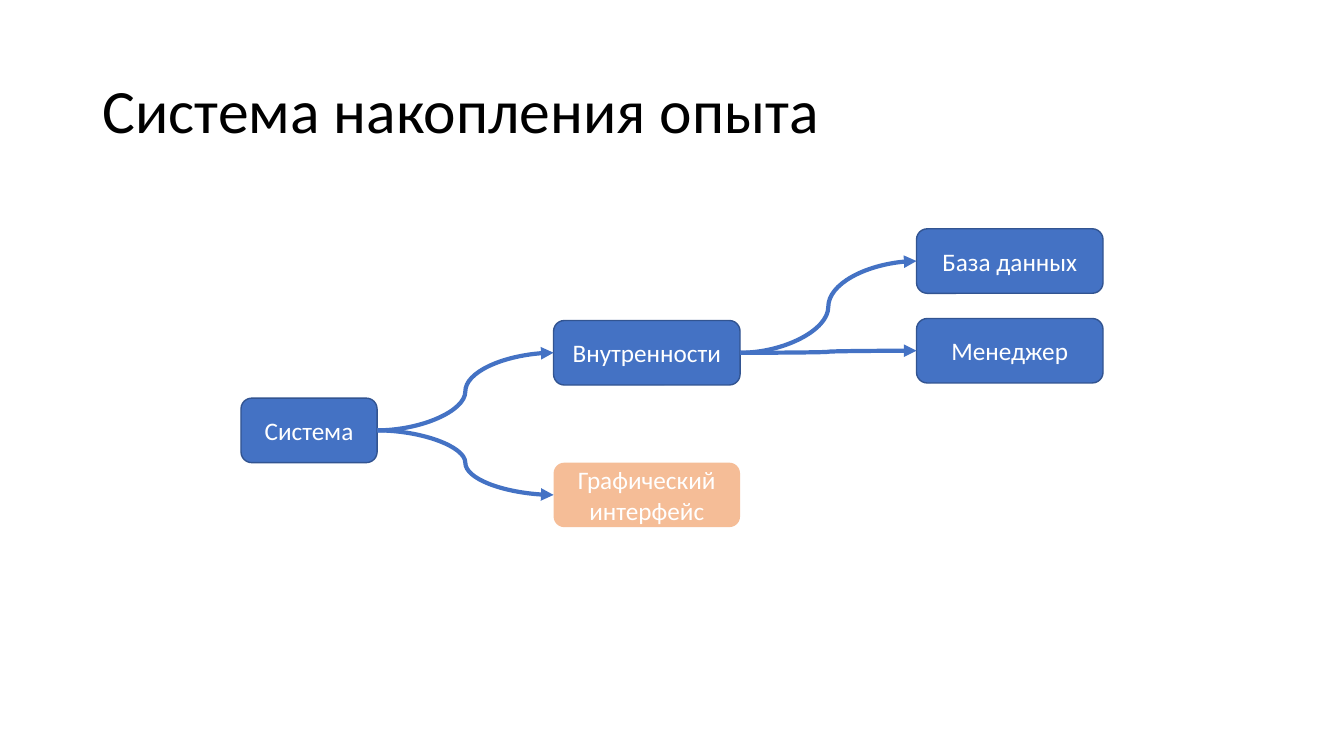
from dataclasses import dataclass

from lxml.etree import SubElement
from pptx import Presentation
from pptx.dml.color import RGBColor
from pptx.enum.shapes import MSO_CONNECTOR as Link, MSO_SHAPE as Kind
from pptx.enum.text import MSO_ANCHOR as Anchor, MSO_AUTO_SIZE as Fit, PP_ALIGN as Align
from pptx.oxml.ns import qn
from pptx.util import Emu, Pt

# 100 px to the inch
SCALE = 9144
BLUE, EDGE, ORANGE = "4472C4", "325491", "ED7D31"
HIGH = 64
LEFT, RIGHT = 1, 3  # connection sites of a rounded box


@dataclass
class Node:
    text: str
    x: int
    y: int
    wide: int = 185
    fill: str = BLUE
    faded: bool = False


def px(num: int) -> Emu:
    return Emu(num * SCALE)


def color(code: str) -> RGBColor:
    return RGBColor.from_string(code)


def write(frame, text: str, *, size: int, ink: str, align=Align.LEFT, space: float = 1.0) -> None:
    frame.word_wrap = True
    frame.auto_size = Fit.NONE
    frame.vertical_anchor = Anchor.MIDDLE
    par = frame.paragraphs[0]
    par.alignment = align
    par.line_spacing = space
    run = par.add_run()
    run.text = text
    run.font.name = "Calibri"
    run.font.size = Pt(size)
    run.font.color.rgb = color(ink)


def draw(group, node: Node):
    box = group.shapes.add_shape(
        Kind.ROUNDED_RECTANGLE, px(node.x), px(node.y), px(node.wide), px(HIGH))
    box.shadow.inherit = False
    box.fill.solid()
    box.fill.fore_color.rgb = color(node.fill)
    if node.faded:
        tint = box.fill._xPr.find(qn("a:solidFill"))[0]
        SubElement(tint, qn("a:alpha"), val="50000")
        box.line.fill.background()
    else:
        box.line.color.rgb = color(EDGE)
        box.line.width = Pt(1)
    write(box.text_frame, node.text, size=18, ink="FFFFFF", align=Align.CENTER)
    return box


def join(group, start, end) -> None:
    line = group.shapes.add_connector(
        Link.CURVE, start.left + start.width, start.top + start.height // 2,
        end.left, end.top + end.height // 2)
    line.begin_connect(start, RIGHT)
    line.end_connect(end, LEFT)
    line.line.color.rgb = color(BLUE)
    line.line.width = Pt(3)
    SubElement(line.line._get_or_add_ln(), qn("a:tailEnd"), type="triangle")
    SubElement(line._element.spPr, qn("a:effectLst"))


NODES = {
    "root": Node("Система", 239, 395, wide=135),
    "core": Node("Внутренности", 549, 318),
    "face": Node("Графический интерфейс", 549, 459, fill=ORANGE, faded=True),
    "data": Node("База данных", 909, 227),
    "boss": Node("Менеджер", 909, 316),
}
LINKS = [("root", "core"), ("root", "face"), ("core", "data"), ("core", "boss")]


def main() -> None:
    deck = Presentation()
    deck.slide_width, deck.slide_height = px(1333), px(750)
    slide = deck.slides.add_slide(deck.slide_layouts[5])

    # Title
    title = slide.shapes.title
    title.left, title.top, title.width, title.height = map(px, (92, 40, 1150, 145))
    write(title.text_frame, "Система накопления опыта", size=44, ink="000000", space=0.9)

    # Tree of parts
    group = slide.shapes.add_group_shape()
    boxes = {key: draw(group, node) for key, node in NODES.items()}
    for start, end in LINKS:
        join(group, boxes[start], boxes[end])

    deck.save("out.pptx")


if __name__ == "__main__":
    main()
